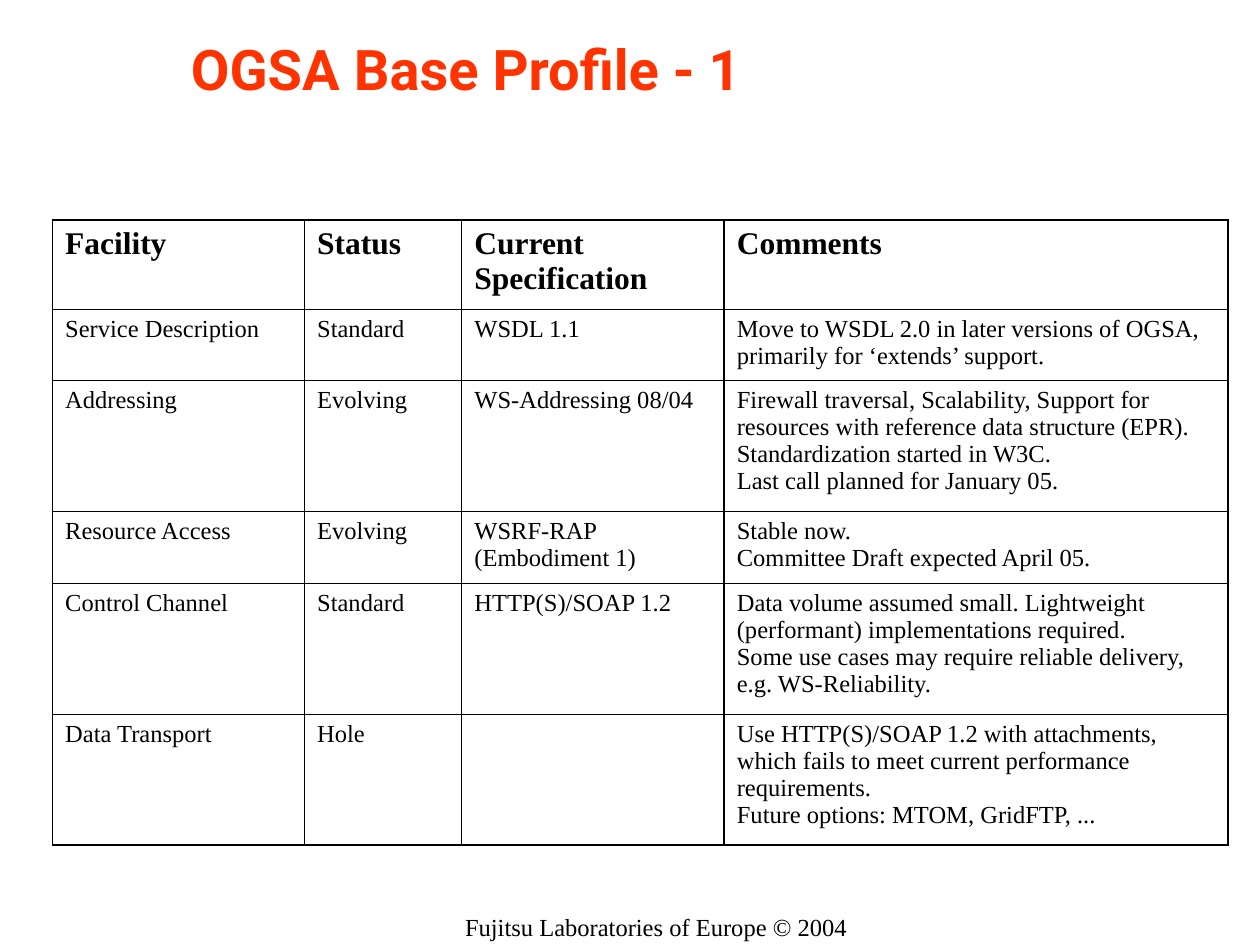
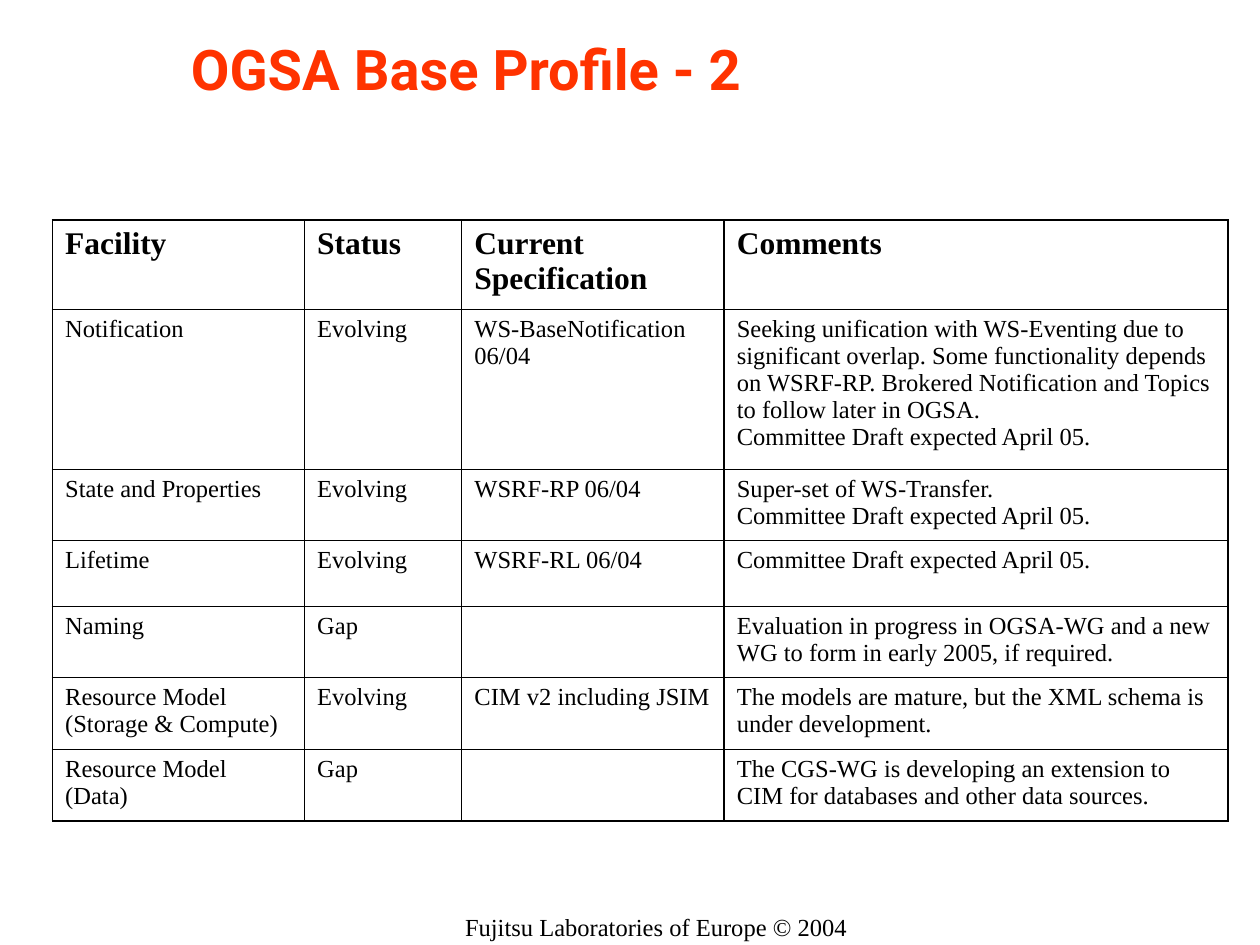
"""Build the two OGSA Base Profile table slides."""
import lxml.etree
import pptx
import pptx.dml.color
import pptx.enum.text
import pptx.oxml.ns
import pptx.util

Cm, Pt = pptx.util.Cm, pptx.util.Pt
COLORS = {"title": "FF3300", "ink": "000000"}
SERIF, SANS = "Times New Roman", "Roboto"
FOOTER = "Fujitsu Laboratories of Europe © 2004"
HEADER = ("Facility", "Status", "Current Specification", "Comments")
COL_WIDTHS = (5.08, 3.17, 5.29, 10.16)
HEADER_HEIGHT = 1.79
OUTER, INNER, DIVIDER = 1.08, 0.45, 1.47
DIVIDER_COL = 3
DRAFT = "Committee Draft expected April 05."

# Each row: height in cm, then its four cells; a newline starts a paragraph.
PROFILE_1 = [
    (1.44, "Service Description", "Standard", "WSDL 1.1",
     "Move to WSDL 2.0 in later versions of OGSA, primarily for ‘extends’ support."),
    (2.64, "Addressing", "Evolving", "WS-Addressing 08/04",
     "Firewall traversal, Scalability, Support for resources with reference data "
     "structure (EPR). Standardization started in W3C.\nLast call planned for January 05."),
    (1.44, "Resource Access", "Evolving", "WSRF-RAP (Embodiment 1)",
     "Stable now.\n" + DRAFT),
    (2.64, "Control Channel", "Standard", "HTTP(S)/SOAP 1.2",
     "Data volume assumed small. Lightweight (performant) implementations required.\n"
     "Some use cases may require reliable delivery, e.g. WS-Reliability."),
    (2.64, "Data Transport", "Hole", "",
     "Use HTTP(S)/SOAP 1.2 with attachments, which fails to meet current performance "
     "requirements.\nFuture options: MTOM, GridFTP, ..."),
]
PROFILE_2 = [
    (3.23, "Notification", "Evolving", "WS-BaseNotification 06/04",
     "Seeking unification with WS-Eventing due to significant overlap. Some "
     "functionality depends on WSRF-RP. Brokered Notification and Topics to follow "
     "later in OGSA.\n" + DRAFT),
    (1.44, "State and Properties", "Evolving", "WSRF-RP 06/04",
     "Super-set of WS-Transfer.\n" + DRAFT),
    (1.32, "Lifetime", "Evolving", "WSRF-RL 06/04", DRAFT),
    (1.44, "Naming", "Gap", "",
     "Evaluation in progress in OGSA-WG and a new WG to form in early 2005, if required."),
    (1.44, "Resource Model (Storage & Compute)", "Evolving", "CIM v2 including JSIM",
     "The models are mature, but the XML schema is under development."),
    (1.44, "Resource Model (Data)", "Gap", "",
     "The CGS-WG is developing an extension to CIM for databases and other data sources."),
]


def sub(parent, tag, **attrs):
    """Append a DrawingML element to parent."""
    return lxml.etree.SubElement(parent, pptx.oxml.ns.qn("a:" + tag), attrs)


def style_text(tf, text, size, name=SERIF, color="ink", bold=False):
    """Fill a text frame and style each of its paragraphs."""
    tf.text = text
    tf.word_wrap = True
    for p in tf.paragraphs:
        p.font.size, p.font.name, p.font.bold = Pt(size), name, bold
        p.font.color.rgb = pptx.dml.color.RGBColor.from_string(COLORS[color])


def add_textbox(s, left, top, width, height):
    """Add a text box and return its text frame."""
    return s.shapes.add_textbox(Cm(left), Cm(top), Cm(width), Cm(height)).text_frame


def add_title(s, text):
    """Add the bold title with its hard text shadow."""
    tf = add_textbox(s, 3.6, 0, 18.2, 2.75)
    style_text(tf, text, 32, SANS, "title", True)
    tf.vertical_anchor = pptx.enum.text.MSO_ANCHOR.MIDDLE
    rPr = tf.paragraphs[0].runs[0]._r.get_or_add_rPr()
    shadow = sub(sub(rPr, "effectLst"), "outerShdw", dist="25400", dir="2700000")
    sub(shadow, "srgbClr", val=COLORS["ink"])


def add_footer(s):
    """Add the centred copyright line."""
    tf = add_textbox(s, 5.29, 18.21, 15.88, 0.94)
    style_text(tf, FOOTER, 14)
    tf.margin_left = tf.margin_right = tf.margin_top = tf.margin_bottom = Cm(0.18)
    tf.auto_size = pptx.enum.text.MSO_AUTO_SIZE.SHAPE_TO_FIT_TEXT
    tf.paragraphs[0].alignment = pptx.enum.text.PP_ALIGN.CENTER


def edge_width(index, count, divider=None):
    """Return the width of a grid line: outer, divider or inner."""
    if index in (0, count):
        return OUTER
    return DIVIDER if index == divider else INNER


def set_borders(cell, widths):
    """Draw the left, right, top and bottom borders of a cell."""
    tcPr = cell._tc.get_or_add_tcPr()
    for side, width in zip("LRTB", widths):
        ln = sub(tcPr, "ln" + side, w=str(Pt(width)))
        sub(sub(ln, "solidFill"), "srgbClr", val=COLORS["ink"])
    cell.fill.background()


def add_profile_table(s, rows):
    """Add the facility table with its header row."""
    rows = [(HEADER_HEIGHT, *HEADER), *rows]
    n_rows, n_cols = len(rows), len(COL_WIDTHS)
    table = s.shapes.add_table(n_rows, n_cols, Cm(1.06), Cm(4.44), Cm(sum(COL_WIDTHS)),
                               Cm(sum(row[0] for row in rows))).table
    table.first_row = table.horz_banding = False
    for column, width in zip(table.columns, COL_WIDTHS):
        column.width = Cm(width)
    for i, (height, *texts) in enumerate(rows):
        table.rows[i].height = Cm(height)
        for j, text in enumerate(texts):
            cell = table.cell(i, j)
            style_text(cell.text_frame, text, 14 if i else 18, bold=i == 0)
            set_borders(cell, (edge_width(j, n_cols, DIVIDER_COL),
                               edge_width(j + 1, n_cols, DIVIDER_COL),
                               edge_width(i, n_rows), edge_width(i + 1, n_rows)))


def main():
    """Build and save the presentation."""
    prs = pptx.Presentation()
    prs.slide_width, prs.slide_height = Cm(25.4), Cm(19.05)
    for number, rows in enumerate((PROFILE_1, PROFILE_2), start=1):
        s = prs.slides.add_slide(prs.slide_layouts[6])
        add_footer(s)
        add_title(s, f"OGSA Base Profile - {number}")
        add_profile_table(s, rows)
    prs.save("out.pptx")


if __name__ == "__main__":
    main()
